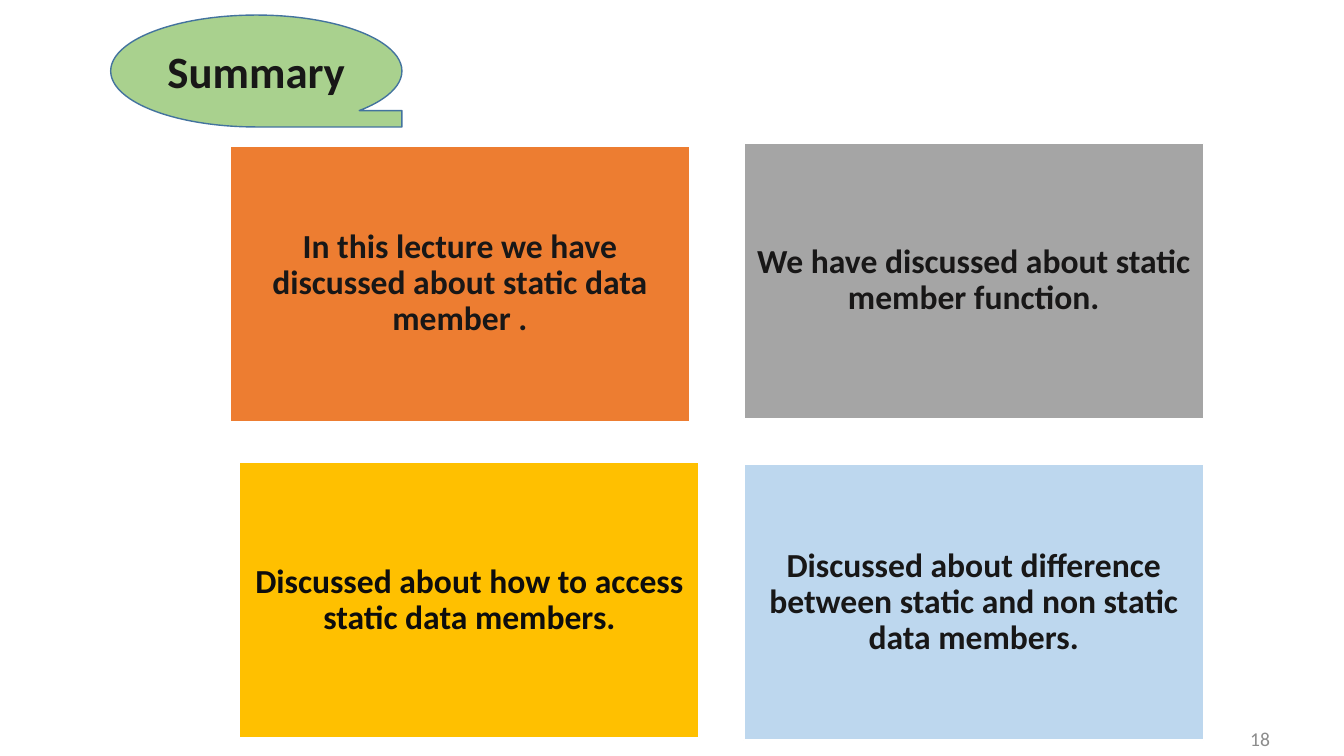
from pptx import Presentation
from pptx.dml.color import RGBColor
from pptx.enum.shapes import MSO_SHAPE
from pptx.enum.text import MSO_ANCHOR, MSO_AUTO_SIZE, PP_ALIGN
from pptx.util import Cm, Pt

RECTANGLE = MSO_SHAPE.RECTANGLE
TAPE = MSO_SHAPE.FLOWCHART_SEQUENTIAL_ACCESS_STORAGE
MIDDLE = MSO_ANCHOR.MIDDLE
NO_AUTOFIT = MSO_AUTO_SIZE.NONE
CENTER, RIGHT = PP_ALIGN.CENTER, PP_ALIGN.RIGHT

FONT = "Calibri"
INK = "181717"
TITLE = "Summary"
TITLE_BOX = (2.79, 0.38, 7.34, 2.82)
PAGE_NUMBER = "18"
PAGE_NUMBER_BOX = (26.57, 18.54, 5.69, 0.13)
CARD_SIZE = (11.58, 6.94)
CARDS = [
    ("In this lecture we have discussed about static data member .",
     (5.8, 3.68), "ED7D31", INK),
    ("We have discussed about static member function.",
     (18.75, 3.61), "A5A5A5", INK),
    ("Discussed about how to access static data members.",
     (6.04, 11.66), "FFC000", "0D0D0D"),
    ("Discussed about difference between static and non static data members.",
     (18.75, 11.71), "BDD7EE", INK),
]


def color(value):
    return RGBColor.from_string(value)


def lengths(box):
    return [Cm(value) for value in box]


def add_filled_shape(slide, kind, box, fill, line):
    shape = slide.shapes.add_shape(kind, *lengths(box))
    shape.shadow.inherit = False
    shape.fill.solid()
    shape.fill.fore_color.rgb = color(fill)
    shape.line.color.rgb = color(line)
    shape.line.width = Pt(1)
    return shape


def write(shape, text, size, ink, bold=True, alignment=CENTER, spacing=1.0):
    frame = shape.text_frame
    frame.text = text
    frame.word_wrap = True
    frame.auto_size = NO_AUTOFIT
    frame.vertical_anchor = MIDDLE
    paragraph = frame.paragraphs[0]
    paragraph.alignment = alignment
    paragraph.line_spacing = spacing
    font = paragraph.font
    font.name = FONT
    font.size = Pt(size)
    font.bold = bold
    font.color.rgb = color(ink)


def add_title(slide):
    tape = add_filled_shape(slide, TAPE, TITLE_BOX, "A9D18E", "43739E")
    title = slide.shapes.title
    title.left, title.top, title.width, title.height = lengths(TITLE_BOX)
    tape.element.addnext(title.element)
    write(title, TITLE, 32, INK)


def add_card(slide, text, position, fill, ink):
    card = add_filled_shape(slide, RECTANGLE, position + CARD_SIZE, fill, "FFFFFF")
    write(card, text, 24, ink, spacing=0.9)
    frame = card.text_frame
    frame.margin_left = frame.margin_right = Cm(0.25)
    frame.margin_top = frame.margin_bottom = Cm(0.25)


def main():
    presentation = Presentation()
    presentation.slide_width = Cm(33.87)
    presentation.slide_height = Cm(19.05)
    slide = presentation.slides.add_slide(presentation.slide_layouts[5])
    page_number = slide.shapes.add_textbox(*lengths(PAGE_NUMBER_BOX))
    write(page_number, PAGE_NUMBER, 14, "8C8C8C", bold=False, alignment=RIGHT)
    add_title(slide)
    for card in CARDS:
        add_card(slide, *card)
    presentation.save("out.pptx")


if __name__ == "__main__":
    main()
